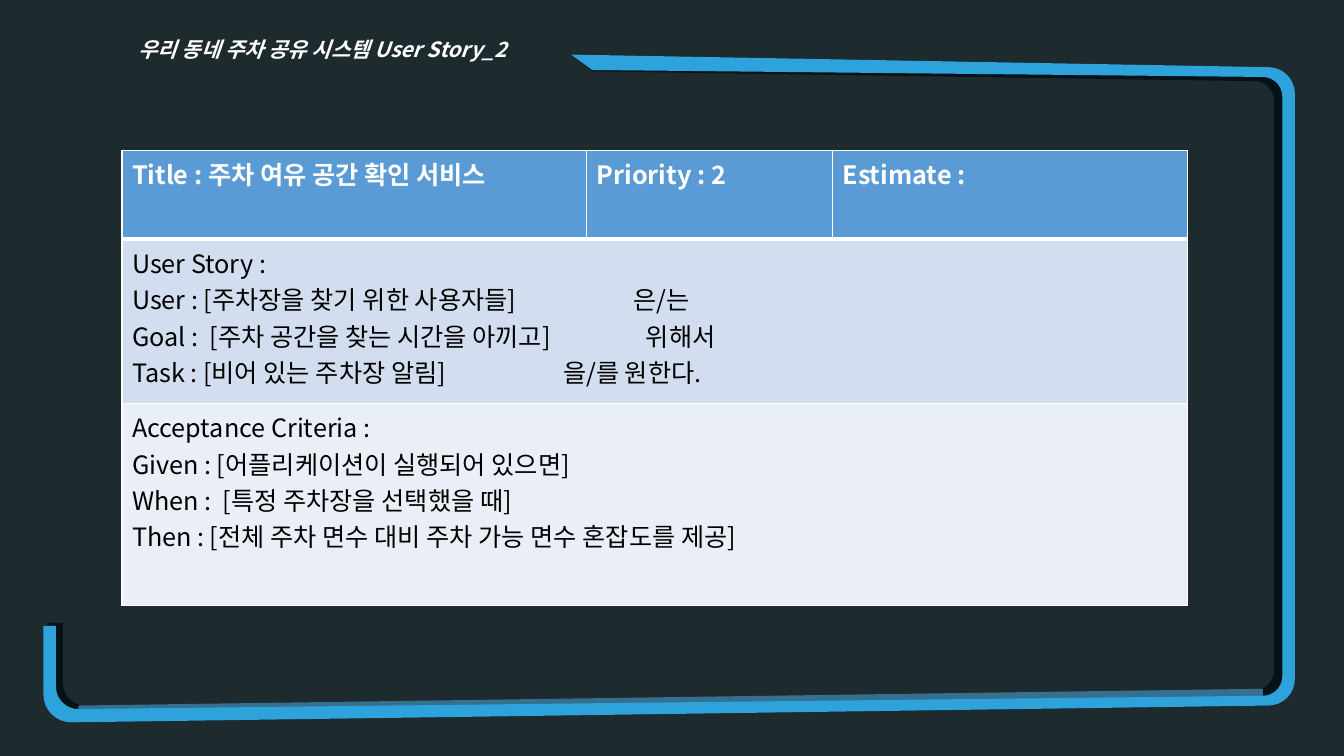
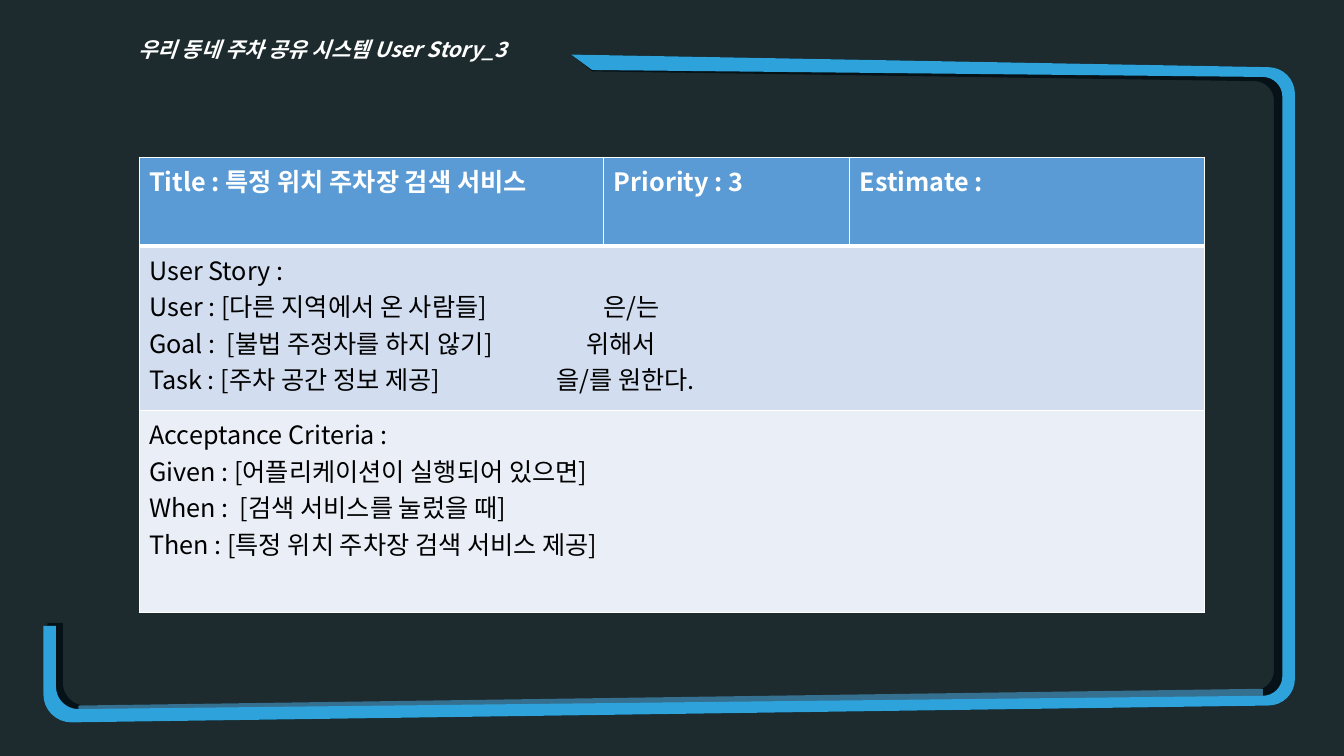
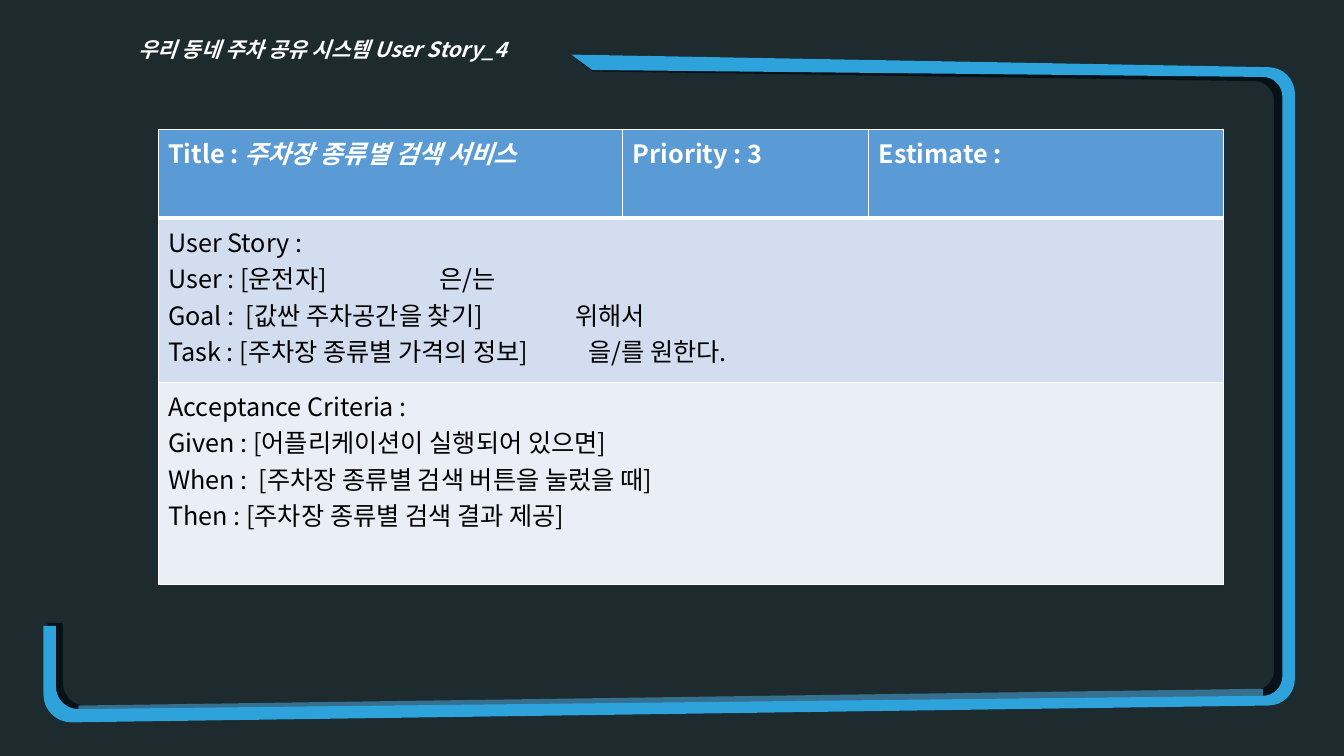
from math import cos, radians, sin

from lxml import etree
from pptx import Presentation
from pptx.dml.color import RGBColor
from pptx.enum import text
from pptx.oxml import ns
from pptx.util import Emu, Pt

NIGHT = RGBColor(0x1D, 0x2B, 0x2E)
SKY = RGBColor(0x2D, 0xA2, 0xDB)
STEEL = RGBColor(0x36, 0x70, 0x90)
SHADE = RGBColor(0x06, 0x12, 0x18)
HEAD = RGBColor(0x5B, 0x9B, 0xD5)
BAND = RGBColor(0xD2, 0xDE, 0xEF)
PALE = RGBColor(0xEA, 0xEF, 0xF7)
WHITE = RGBColor(0xFF, 0xFF, 0xFF)
BLACK = RGBColor(0, 0, 0)
FONT = "Noto Sans CJK KR"
COLS, ROWS, UNIT = 96, 54, 127000
WIDTHS = (33.19, 17.57, 25.34)
HEIGHTS = (6.34, 11.74, 14.47)
FILLS = (HEAD, BAND, PALE)


def grid(n):
    return Emu(round(n * UNIT))


def arc(x, y, r, start, end):
    turns = [radians(start + (end - start) * i / 8) for i in range(9)]
    return [(x + r * cos(t), y + r * sin(t)) for t in turns]


def child(node, tag, **attrs):
    return etree.SubElement(node, ns.qn(tag), attrs)


OUTER = [(40.8, 3.9), *arc(90.6, 6.7, 1.9, -90, 0),
         *arc(90.6, 48.5, 1.9, 0, 90), *arc(5.1, 49.6, 2, 90, 180)]
RIM = OUTER + [(3.1, 44.7), (4, 44.7), *arc(5.6, 49.05, 1.6, 180, 90),
               *arc(90.2, 48.3, 1.4, 90, 0), *arc(90.2, 6.9, 1.4, 0, -90),
               (42.3, 5)]
LIP = OUTER + [(3.4, 44.5), (4.5, 44.5), *arc(6.1, 48.8, 1.6, 180, 90),
               *arc(89.6, 47.9, 1.4, 90, 0), *arc(89.6, 7.2, 1.4, 0, -90),
               (42.3, 5.1)]
LEDGE = [(5.6, 50.4), (90.2, 49.2), (90.2, 49.8), (5.6, 50.8)]


class Deck:
    """Holds the shared style and the slide being built."""

    def __init__(self):
        self.prs = Presentation()
        self.prs.slide_width = grid(COLS)
        self.prs.slide_height = grid(ROWS)
        fill = self.prs.slide_master.background.fill
        fill.solid()
        fill.fore_color.rgb = NIGHT

    def page(self, title):
        self.slide = self.prs.slides.add_slide(self.prs.slide_layouts[5])
        for points, color in ((LIP, SHADE), (LEDGE, STEEL), (RIM, SKY)):
            self.form(points, color)
        self.title(title)

    def form(self, points, color):
        dots = [(grid(x), grid(y)) for x, y in points]
        pen = self.slide.shapes.build_freeform(*dots[0])
        pen.add_line_segments(dots[1:], close=True)
        shape = pen.convert_to_shape()
        shape.shadow.inherit = False
        shape.fill.solid()
        shape.fill.fore_color.rgb = color
        shape.line.fill.background()

    def style(self, run, size, color, bold=False, italic=False):
        font = run.font
        font.size, font.bold, font.italic = Pt(size), bold, italic
        font.color.rgb = color
        font.name = FONT
        child(run._r.get_or_add_rPr(), "a:ea", typeface=FONT)

    def title(self, words):
        box = self.slide.shapes.title
        box.left, box.top = grid(-0.65), grid(1.37)
        box.width, box.height = grid(47.38), grid(3.1)
        frame = box.text_frame
        frame.text = words
        frame.word_wrap = True
        frame.vertical_anchor = text.MSO_ANCHOR.TOP
        frame.auto_size = text.MSO_AUTO_SIZE.SHAPE_TO_FIT_TEXT
        line = frame.paragraphs[0]
        line.alignment = text.PP_ALIGN.CENTER
        line.line_spacing = 1.5
        self.style(line.runs[0], 15, WHITE, True, True)

    def edges(self, cell, row):
        sides = {"L": 1, "R": 1, "T": 3 if row == 1 else 1,
                 "B": 3 if row == 0 else 1}
        props = cell._tc.get_or_add_tcPr()
        for spot, (side, width) in enumerate(sides.items()):
            line = child(props, "a:ln" + side, w=str(Pt(width)))
            paint = child(line, "a:solidFill")
            child(paint, "a:srgbClr", val=str(WHITE))
            props.insert(spot, line)

    def head(self, cell, parts, slant=False):
        line = cell.text_frame.paragraphs[0]
        for i, part in enumerate(parts):
            run = line.add_run()
            run.text = part
            self.style(run, 18, WHITE, True, slant and i == 1)

    def lines(self, cell, rows, stops=()):
        cell.text_frame.text = "\n".join(rows)
        paras = cell.text_frame.paragraphs
        for line in paras:
            self.style(line.runs[0], 18, BLACK)
        for line, stop in zip(paras[1:], stops):
            tabs = child(line._p.get_or_add_pPr(), "a:tabLst")
            child(tabs, "a:tab", pos=str(grid(stop)), algn="l")

    def card(self, at, name, rank, story, stops, tests, slant=False):
        left, top = at
        table = self.slide.shapes.add_table(
            3, 3, grid(left), grid(top),
            grid(sum(WIDTHS)), grid(sum(HEIGHTS))).table
        for col, width in zip(table.columns, WIDTHS):
            col.width = grid(width)
        for r, (height, color) in enumerate(zip(HEIGHTS, FILLS)):
            table.rows[r].height = grid(height)
            for c in range(3):
                cell = table.cell(r, c)
                cell.fill.solid()
                cell.fill.fore_color.rgb = color
                self.edges(cell, r)
            if r:
                table.cell(r, 0).merge(table.cell(r, 2))
        self.head(table.cell(0, 0), ("Title : ", name), slant)
        self.head(table.cell(0, 1), (f"Priority : {rank}",))
        self.head(table.cell(0, 2), ("Estimate : ",))
        user, goal, task = story
        self.lines(table.cell(1, 0), (
            "User Story :", f"User : [{user}]\t은/는",
            f"Goal :  [{goal}]\t위해서", f"Task : [{task}]\t을/를 원한다."), stops)
        when, then = tests
        self.lines(table.cell(2, 0), (
            "Acceptance Criteria :", "Given : [어플리케이션이 실행되어 있으면]",
            f"When :  [{when}]", f"Then : [{then}]"))


CARDS = (
    dict(at=(8.71, 10.73), name="주차 여유 공간 확인 서비스", rank=2,
         story=("주차장을 찾기 위한 사용자들", "주차 공간을 찾는 시간을 아끼고",
                "비어 있는 주차장 알림"),
         stops=(35.79, 36.71, 30.79),
         tests=("특정 주차장을 선택했을 때",
                "전체 주차 면수 대비 주차 가능 면수 혼잡도를 제공")),
    dict(at=(9.94, 11.23), name="특정 위치 주차장 검색 서비스", rank=3,
         story=("다른 지역에서 온 사람들", "불법 주정차를 하지 않기",
                "주차 공간 정보 제공"),
         stops=(32.43, 31.21, 29.07),
         tests=("검색 서비스를 눌렀을 때", "특정 위치 주차장 검색 서비스 제공")),
    dict(at=(11.3, 9.22), name="주차장 종류별 검색 서비스", rank=3, slant=True,
         story=("운전자", "값싼 주차공간을 찾기", "주차장 종류별 가격의 정보"),
         stops=(19.36, 29.07, 30),
         tests=("주차장 종류별 검색 버튼을 눌렀을 때",
                "주차장 종류별 검색 결과 제공")),
)

deck = Deck()
for number, facts in enumerate(CARDS, 2):
    deck.page(f"우리 동네 주차 공유 시스템 User Story_{number}")
    deck.card(**facts)
deck.prs.save("out.pptx")
